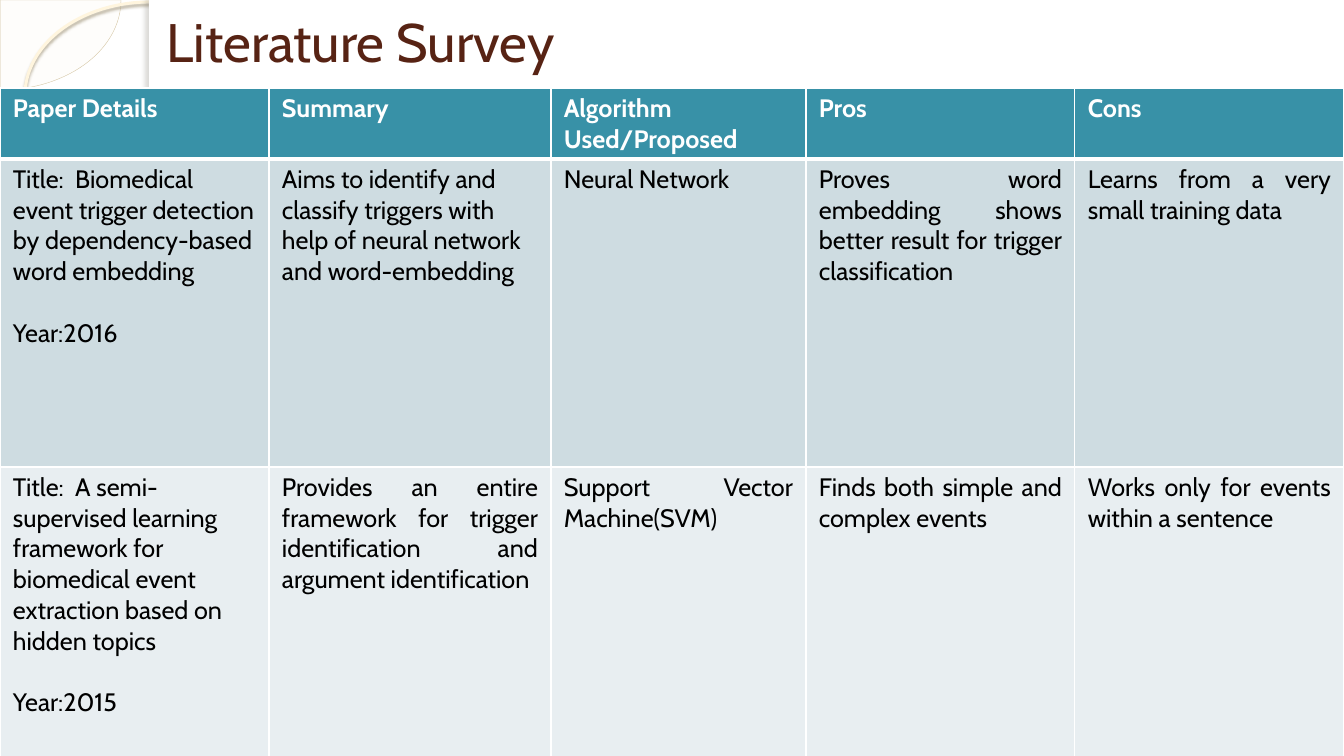
from dataclasses import dataclass

from lxml.etree import SubElement
from pptx import Presentation
from pptx.dml.color import RGBColor
from pptx.enum.shapes import MSO_SHAPE as SHAPE
from pptx.enum.text import MSO_ANCHOR as ANCHOR, PP_ALIGN as ALIGN
from pptx.oxml.ns import qn
from pptx.util import Emu, Pt

PX = 914400 / 100.8


@dataclass(frozen=True)
class Theme:
    font: str = "Cabin"
    title_size: float = 38.7
    table_size: int = 18
    title: str = "572314"
    text: str = "000000"
    white: str = "FFFFFF"
    header: str = "3891A7"
    bands: tuple = ("CEDCE1", "E8EEF1")
    pie: str = "FEFAF4"
    pie_line: str = "D3C39F"
    ring: str = "FFF5DE"
    ring_shadow: str = "B0A68F"
    edge_shadow: str = "736F63"


THEME = Theme()

HEADINGS = ["Paper Details", "Summary", "Algorithm Used/Proposed", "Pros", "Cons"]
# Each paper: its cells, and how many leading columns are left-aligned
PAPERS = [
    (["Title:  Biomedical event trigger detection by dependency-based word embedding\n"
      "Year:2016",
      "Aims to identify and classify triggers with help of neural network and word-embedding",
      "Neural Network",
      "Proves word embedding shows better result for trigger classification",
      "Learns from a very small training data"], 2),
    (["Title:  A semi-supervised learning framework for biomedical event extraction "
      "based on hidden topics\nYear:2015",
      "Provides an entire framework for trigger identification and argument identification",
      "Support Vector Machine(SVM)",
      "Finds both simple and complex events",
      "Works only for events within a sentence"], 1),
]
COLUMN_WIDTHS = [269, 282, 255, 269, 269]
ROW_HEIGHTS = [71, 308, 308]


def px(n):
    return Emu(round(n * PX))


def rgb(color):
    return RGBColor.from_string(color)


def style_run(r, size, color, bold=False):
    r.font.name = THEME.font
    r.font.size = Pt(size)
    r.font.bold = bold
    r.font.color.rgb = rgb(color)


def add_solid(parent, color, alpha=None):
    clr = SubElement(parent, qn("a:srgbClr"), val=color)
    if alpha is not None:
        SubElement(clr, qn("a:alpha"), val=str(alpha * 1000))


def add_shape(slide, kind, box, fill=None, line=None, line_width=0):
    sp = slide.shapes.add_shape(kind, *map(px, box))
    sp.shadow.inherit = False
    if fill:
        sp.fill.solid()
        sp.fill.fore_color.rgb = rgb(fill)
    else:
        sp.fill.background()
    if line:
        sp.line.color.rgb = rgb(line)
        sp.line.width = Pt(line_width)
    else:
        sp.line.fill.background()
    return sp


def add_shadow(sp, color, alpha, blur, distance, angle):
    effects = sp._element.spPr.find(qn("a:effectLst"))
    shadow = SubElement(effects, qn("a:outerShdw"), blurRad=str(Pt(blur)),
                        dist=str(Pt(distance)), dir=str(angle * 60000),
                        algn="tl", rotWithShape="0")
    add_solid(shadow, color, alpha)


def add_corner_ornament(slide, box):
    """Curves in the left margin, cut off by the white content panel."""
    x, y, w, h = box
    pie = add_shape(slide, SHAPE.PIE, (x - 120, y - 90, 241, 180),
                    THEME.pie, THEME.pie_line, 0.25)
    pie.adjustments[0] = 0
    pie.adjustments[1] = 54.02
    color = pie._element.spPr.find(qn("a:solidFill"))[0]
    SubElement(color, qn("a:alpha"), val="33000")

    ring = add_shape(slide, SHAPE.OVAL, (x + 25, y + 2, 250, 187),
                     line=THEME.ring, line_width=2.15)
    add_shadow(ring, THEME.ring_shadow, 85, 2, 2, 90)

    add_shape(slide, SHAPE.RECTANGLE, (x + 149, y, w - 149, h), THEME.white)
    edge = add_shape(slide, SHAPE.RECTANGLE, (x + 149, y, 11, h), THEME.white)
    add_shadow(edge, THEME.edge_shadow, 25, 3, 3, 180)


def add_title(slide, box, text):
    tf = slide.shapes.add_textbox(*map(px, box)).text_frame
    tf.word_wrap = True
    tf.vertical_anchor = ANCHOR.MIDDLE
    tf.text = text
    style_run(tf.paragraphs[0].runs[0], THEME.title_size, THEME.title)


def set_borders(cell, top, bottom):
    tcPr = cell._tc.get_or_add_tcPr()
    for side, width in (("L", 1), ("R", 1), ("T", top), ("B", bottom)):
        ln = SubElement(tcPr, qn(f"a:ln{side}"), w=str(Pt(width)))
        add_solid(SubElement(ln, qn("a:solidFill")), THEME.white)


def fill_cell(cell, text, fill, color, bold, left_aligned):
    cell.fill.solid()
    cell.fill.fore_color.rgb = rgb(fill)
    cell.margin_left = cell.margin_right = px(13)
    cell.margin_top = cell.margin_bottom = px(5)
    cell.text_frame.text = text
    for i, p in enumerate(cell.text_frame.paragraphs):
        p.alignment = ALIGN.LEFT if left_aligned and i == 0 else ALIGN.JUSTIFY
        if i:
            p.space_before = Pt(22)
        style_run(p.runs[0], THEME.table_size, color, bold)


def add_survey_table(slide, box):
    rows = [(HEADINGS, 0), *PAPERS]
    table = slide.shapes.add_table(len(rows), len(HEADINGS), *map(px, box)).table
    table.horz_banding = False
    for column, width in zip(table.columns, COLUMN_WIDTHS):
        column.width = px(width)
    for row, height in zip(table.rows, ROW_HEIGHTS):
        row.height = px(height)

    for i, (texts, left_columns) in enumerate(rows):
        header = i == 0
        fill = THEME.header if header else THEME.bands[i - 1]
        color = THEME.white if header else THEME.text
        for j, text in enumerate(texts):
            cell = table.cell(i, j)
            set_borders(cell, top=3 if i == 1 else 1, bottom=3 if header else 1)
            fill_cell(cell, text, fill, color, header, j < left_columns)


def main():
    prs = Presentation()
    prs.slide_width, prs.slide_height = px(1344), px(756)
    slide = prs.slides.add_slide(prs.slide_layouts[6])
    add_corner_ornament(slide, (0, 0, 1344, 756))
    add_title(slide, (157, 8, 998, 65), "Literature Survey")
    add_survey_table(slide, (0, 88, sum(COLUMN_WIDTHS), sum(ROW_HEIGHTS)))
    prs.save("out.pptx")


if __name__ == "__main__":
    main()
